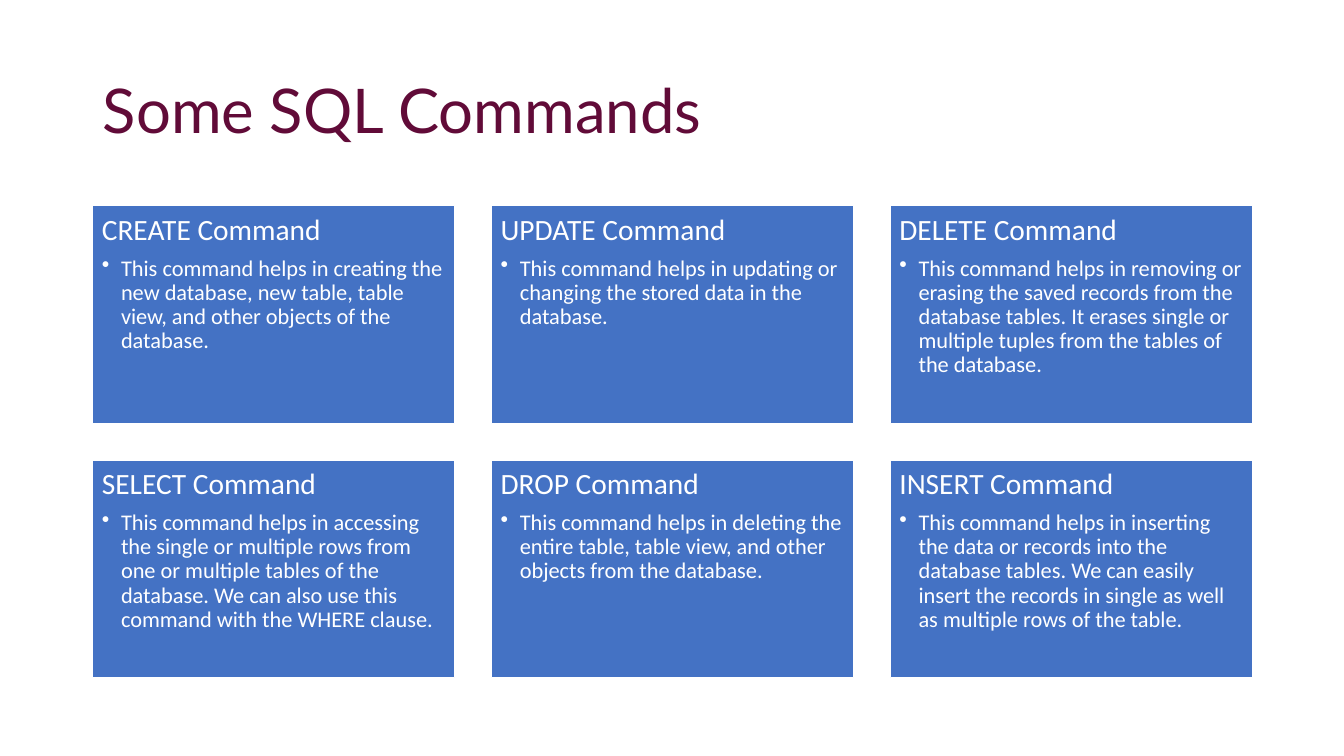
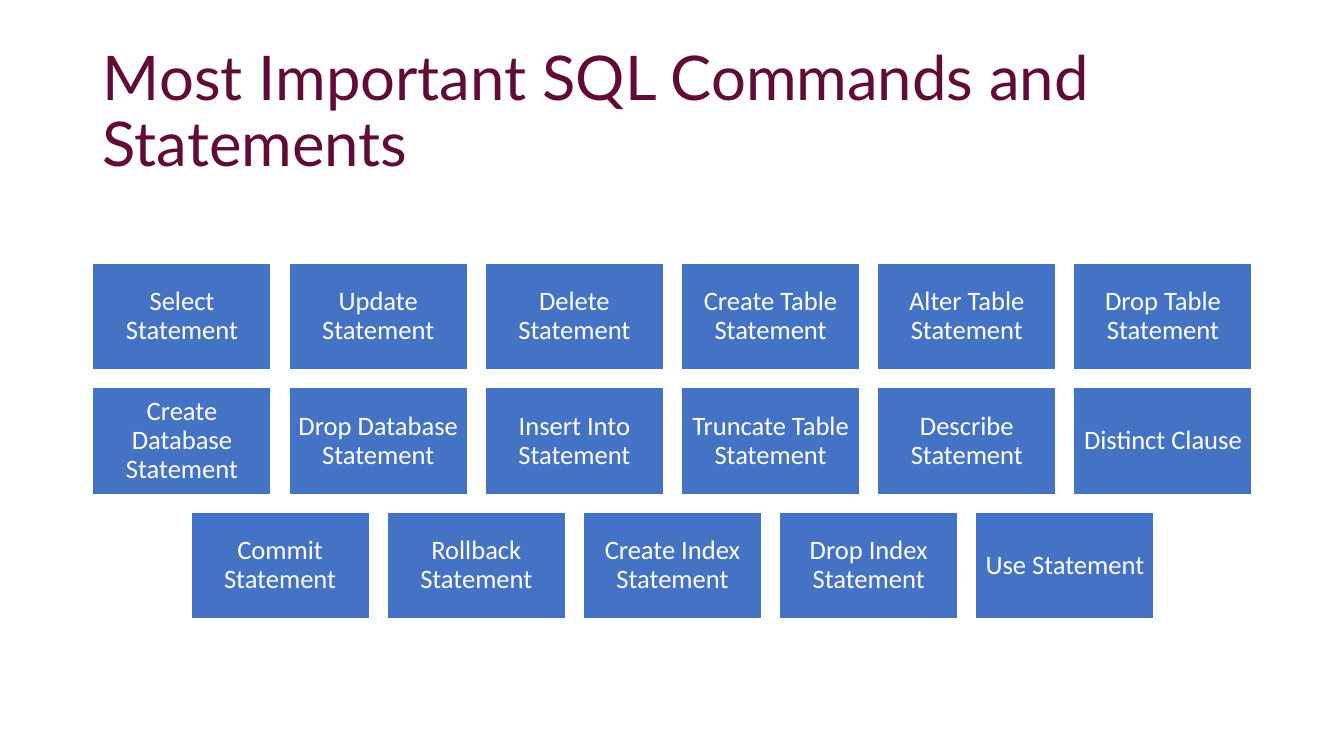
"""Build two slides on SQL commands and statements as centred card grids."""
from dataclasses import dataclass
from typing import Any

from lxml import etree
from pptx import Presentation
from pptx.dml import color
from pptx.enum import shapes, text
from pptx.oxml import ns
from pptx.util import Inches, Pt

MAROON, BLUE, WHITE = "610B38", "4472C4", "FFFFFF"
LEFT, CONTENT_WIDTH = 0.92, 11.5


@dataclass(frozen=True)
class Card:
    """Heading of a card with an optional bulleted detail."""
    heading: str
    detail: str = ""


@dataclass(frozen=True)
class CardGrid:
    """Measures and text style shared by the cards of one slide, in inches and points."""
    top: float
    columns: int
    width: float
    height: float
    inset: float
    heading_size: int
    align: text.PP_ALIGN
    anchor: text.MSO_ANCHOR


COMMAND_GRID = CardGrid(2.04, 3, 3.59, 2.16, 0.09, 21, text.PP_ALIGN.LEFT, text.MSO_ANCHOR.TOP)
STATEMENT_GRID = CardGrid(2.61, 6, 1.77, 1.06, 0.08, 19, text.PP_ALIGN.CENTER, text.MSO_ANCHOR.MIDDLE)

COMMANDS = [
    Card("CREATE Command", "This command helps in creating the new database, new table, "
         "table view, and other objects of the database."),
    Card("UPDATE Command", "This command helps in updating or changing the stored data in the database."),
    Card("DELETE Command", "This command helps in removing or erasing the saved records from the "
         "database tables. It erases single or multiple tuples from the tables of the database."),
    Card("SELECT Command", "This command helps in accessing the single or multiple rows from one or "
         "multiple tables of the database. We can also use this command with the WHERE clause."),
    Card("DROP Command", "This command helps in deleting the entire table, table view, "
         "and other objects from the database."),
    Card("INSERT Command", "This command helps in inserting the data or records into the database "
         "tables. We can easily insert the records in single as well as multiple rows of the table."),
]
STATEMENTS = [Card(heading) for heading in (
    "Select Statement", "Update Statement", "Delete Statement",
    "Create Table Statement", "Alter Table Statement", "Drop Table Statement",
    "Create Database Statement", "Drop Database Statement", "Insert Into Statement",
    "Truncate Table Statement", "Describe Statement", "Distinct Clause",
    "Commit Statement", "Rollback Statement", "Create Index Statement",
    "Drop Index Statement", "Use Statement",
)]


def rgb(value: str) -> color.RGBColor:
    """Turn a hex string into a colour."""
    return color.RGBColor.from_string(value)


def apply(target: Any, values: dict[str, Any]) -> None:
    """Set each format value on the target."""
    for key, value in values.items():
        setattr(target, key, value)


def write(paragraph: Any, words: str, size: int, font: str, ink: str,
          align: text.PP_ALIGN, after: float = 0) -> None:
    """Fill a paragraph with styled words."""
    paragraph.text = words
    apply(paragraph, {"alignment": align, "line_spacing": 0.9,
                      "space_before": Pt(0), "space_after": Pt(after)})
    apply(paragraph.font, {"size": Pt(size), "name": font})
    paragraph.font.color.rgb = rgb(ink)


def add_bullet(paragraph: Any, indent: float) -> None:
    """Give a paragraph a hanging round bullet."""
    paragraph.level = 1
    properties = paragraph._p.get_or_add_pPr()
    properties.set("marL", str(Inches(indent)))
    properties.set("indent", str(-Inches(indent)))
    etree.SubElement(properties, ns.qn("a:buChar")).set("char", "•")


def add_titled_slide(deck: Any, words: str) -> Any:
    """Add a slide with the shared title style."""
    slide = deck.slides.add_slide(deck.slide_layouts[5])
    title = slide.shapes.title
    apply(title, {"left": Inches(LEFT), "top": Inches(0.4),
                  "width": Inches(CONTENT_WIDTH), "height": Inches(1.45)})
    apply(title.text_frame, {"vertical_anchor": text.MSO_ANCHOR.MIDDLE, "word_wrap": True,
                             "auto_size": text.MSO_AUTO_SIZE.NONE})
    write(title.text_frame.paragraphs[0], words, 44, "Lato", MAROON, text.PP_ALIGN.LEFT)
    return slide


def add_card(slide: Any, grid: CardGrid, card: Card, left: float, top: float) -> None:
    """Draw one card with its heading and detail."""
    box = slide.shapes.add_shape(shapes.MSO_SHAPE.RECTANGLE, Inches(left), Inches(top),
                                 Inches(grid.width), Inches(grid.height))
    box.shadow.inherit = False
    box.fill.solid()
    box.fill.fore_color.rgb = rgb(BLUE)
    box.line.color.rgb = rgb(WHITE)
    box.line.width = Pt(1)
    frame = box.text_frame
    apply(frame, {f"margin_{side}": Inches(grid.inset) for side in ("left", "top", "right", "bottom")})
    apply(frame, {"vertical_anchor": grid.anchor, "word_wrap": True})
    after = round(grid.heading_size * 0.35, 1) if card.detail else 0
    write(frame.paragraphs[0], card.heading, grid.heading_size, "Calibri", WHITE, grid.align, after)
    if card.detail:
        detail = frame.add_paragraph()
        write(detail, card.detail, 16, "Calibri", WHITE, grid.align)
        add_bullet(detail, 0.19)


def add_cards(slide: Any, grid: CardGrid, cards: list[Card]) -> None:
    """Lay out cards in rows with equal gaps, centring a short last row."""
    gap = (CONTENT_WIDTH - grid.columns * grid.width) / (grid.columns - 1)
    for start in range(0, len(cards), grid.columns):
        row = cards[start:start + grid.columns]
        row_left = LEFT + (grid.columns - len(row)) * (grid.width + gap) / 2
        top = grid.top + start // grid.columns * (grid.height + gap)
        for column, card in enumerate(row):
            add_card(slide, grid, card, row_left + column * (grid.width + gap), top)


def main() -> None:
    """Build and save the deck."""
    deck = Presentation()
    apply(deck, {"slide_width": Inches(13.33), "slide_height": Inches(7.5)})
    for title, grid, cards in (
        ("Some SQL Commands", COMMAND_GRID, COMMANDS),
        ("Most Important SQL Commands and Statements", STATEMENT_GRID, STATEMENTS),
    ):
        add_cards(add_titled_slide(deck, title), grid, cards)
    deck.save("out.pptx")


if __name__ == "__main__":
    main()
